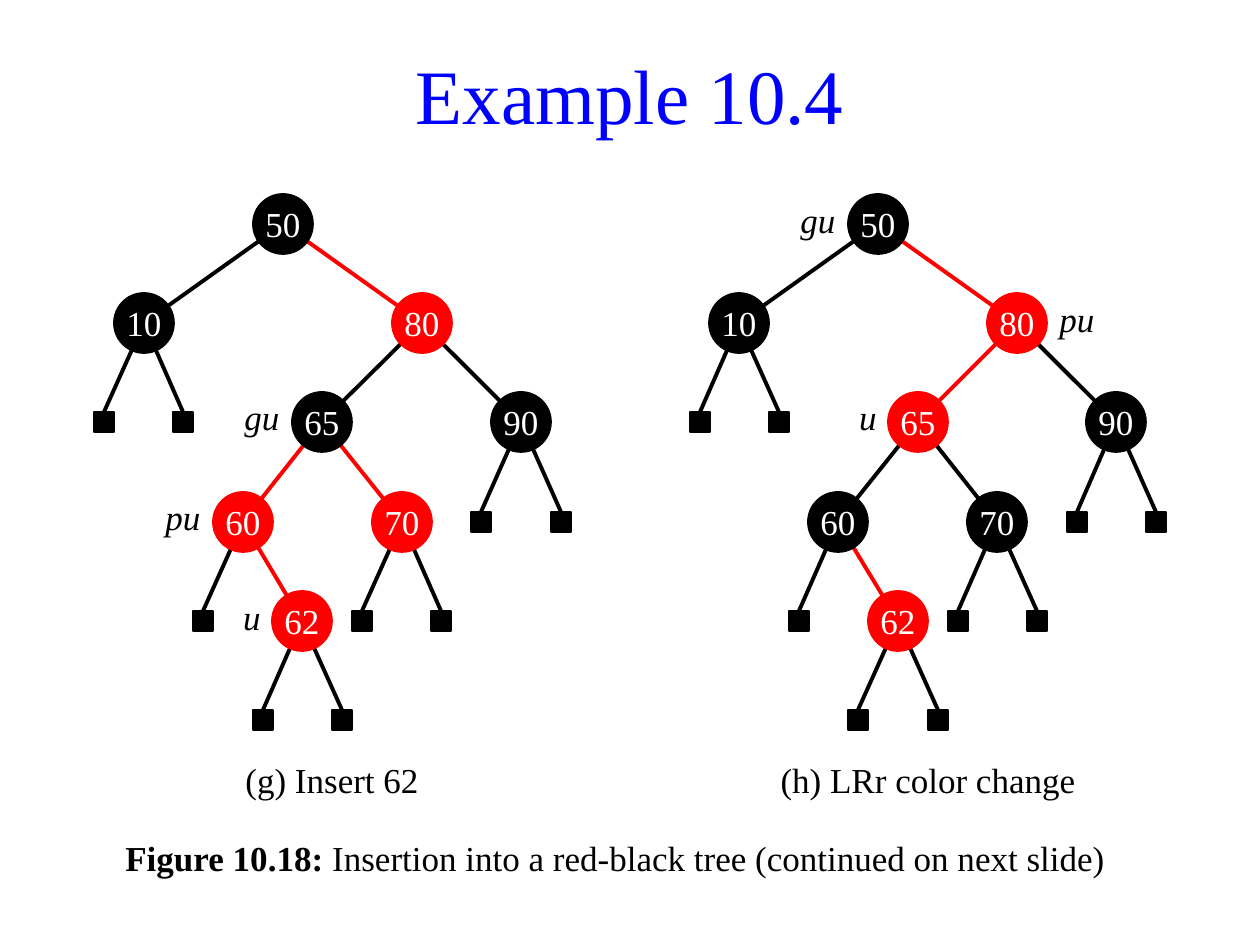
from lxml import etree
from pptx import Presentation
from pptx import util as u
from pptx.dml.color import RGBColor
from pptx.enum import shapes, text
from pptx.oxml.ns import qn

EMU_PER_PX = 914400 / 126
FONT = "Times New Roman"
BLACK, RED, WHITE, BLUE = "000000", "FF0000", "FFFFFF", "0000FF"

# Tree grid: one level is five columns high, leaves sit two columns aside
COL = 19.85
LEFT, TOP = 104, 224
LEAF_OFFSET = 2
TREE_GAP = 30
NODE, LEAF = 60, 20

# Key: (column, level, left child, right child); None is an external node
TREE = {
    50: (9, 0, 10, 80),
    10: (2, 1, None, None),
    80: (16, 1, 65, 90),
    65: (11, 2, 60, 70),
    90: (21, 2, None, None),
    60: (7, 3, None, 62),
    70: (15, 3, None, None),
    62: (10, 4, None, None),
}

# First column, caption, red nodes, labels as key: (text, width, side)
PANELS = [
    (0, "(g) Insert 62", {80, 60, 70, 62},
     {65: ("gu", 60, -1), 60: ("pu", 60, -1), 62: ("u", 40, -1)}),
    (TREE_GAP, "(h) LRr color change", {80, 65, 62},
     {50: ("gu", 60, -1), 80: ("pu", 60, 1), 65: ("u", 40, -1)}),
]


def px(n):
    return u.Emu(round(n * EMU_PER_PX))


def rgb(value):
    return RGBColor.from_string(value)


def grid(col, level):
    return round(LEFT + col * COL), round(TOP + level * 5 * COL)


def write(shape, runs, size=20, color=BLACK, align="CENTER", **frame):
    """Fill a shape with one paragraph of (text, font format) runs."""
    tf = shape.text_frame
    for name, value in frame.items():
        setattr(tf, name, value)
    p = tf.paragraphs[0]
    p.alignment = getattr(text.PP_ALIGN, align)
    for words, style in runs:
        r = p.add_run()
        r.text = words
        for name, value in {"name": FONT, "size": u.Pt(size), **style}.items():
            setattr(r.font, name, value)
        r.font.color.rgb = rgb(color)


def add_text(s, x, y, w, h, runs, **style):
    box = s.shapes.add_textbox(px(x), px(y), px(w), px(h))
    frame = {"word_wrap": True, "vertical_anchor": text.MSO_ANCHOR.MIDDLE}
    write(box, runs, **{**frame, **style})


def add_edge(s, start, end, color):
    line = s.shapes.add_connector(
        shapes.MSO_CONNECTOR.STRAIGHT, *map(px, start + end))
    line.line.width = u.Pt(2.25)
    line.line.color.rgb = rgb(color)
    etree.SubElement(line._element.spPr, qn("a:effectLst"))


def add_mark(s, kind, center, size, color):
    x, y = center
    sp = s.shapes.add_shape(
        kind, px(x - size / 2), px(y - size / 2), px(size), px(size))
    sp.shadow.inherit = False
    sp.fill.solid()
    sp.fill.fore_color.rgb = rgb(color)
    sp.line.color.rgb = rgb(color)
    sp.line.width = u.Pt(1)
    return sp


def add_node(s, key, center, color):
    sp = add_mark(s, shapes.MSO_SHAPE.OVAL, center, NODE, color)
    write(sp, [(str(key), {})], color=WHITE, word_wrap=False,
          vertical_anchor=text.MSO_ANCHOR.BOTTOM, margin_left=0,
          margin_top=0, margin_right=0, margin_bottom=px(1))


def add_label(s, center, words, width, side):
    x, y = center
    left = x + NODE / 2 if side > 0 else x - NODE / 2 - width
    add_text(s, left, y - NODE / 2, width, NODE, [(words, {"italic": True})],
             word_wrap=False, margin_left=px(10), margin_top=0,
             margin_right=px(10), margin_bottom=px(10))


def add_tree(s, first_col, red, labels):
    def color(key):
        return RED if key in red else BLACK

    centers = {key: grid(first_col + col, level)
               for key, (col, level, *_) in TREE.items()}

    # Edges take the colour of the child; leaves hang below their parent
    for key, (col, level, *children) in TREE.items():
        for child, side in zip(children, (-1, 1)):
            if child:
                add_edge(s, centers[key], centers[child], color(child))
            else:
                x, y = grid(first_col + col + side * LEAF_OFFSET, level + 1)
                add_edge(s, centers[key], (x, y - LEAF / 2), BLACK)
                add_mark(s, shapes.MSO_SHAPE.RECTANGLE, (x, y), LEAF, BLACK)

    # Nodes cover the ends of the edges
    for key, center in centers.items():
        add_node(s, key, center, color(key))
    for key, label in labels.items():
        add_label(s, centers[key], *label)


def main():
    prs = Presentation()
    prs.slide_width, prs.slide_height = px(1260), px(945)
    s = prs.slides.add_slide(prs.slide_layouts[6])

    # Title
    add_text(s, 54, 35, 1152, 118, [("Example 10.4", {})], size=44, color=BLUE)

    # Trees with their captions
    for first_col, caption, red, labels in PANELS:
        add_tree(s, first_col, red, labels)
        add_text(s, 152 + round(first_col * COL), 750, 360, 59,
                 [(caption, {})])

    # Figure caption
    add_text(s, 113, 830, 1032, 59, [
        ("Figure 10.18: ", {"bold": True}),
        ("Insertion into a red-black tree (continued on next slide)", {}),
    ], align="LEFT", vertical_anchor=text.MSO_ANCHOR.TOP)

    prs.save("out.pptx")


if __name__ == "__main__":
    main()
